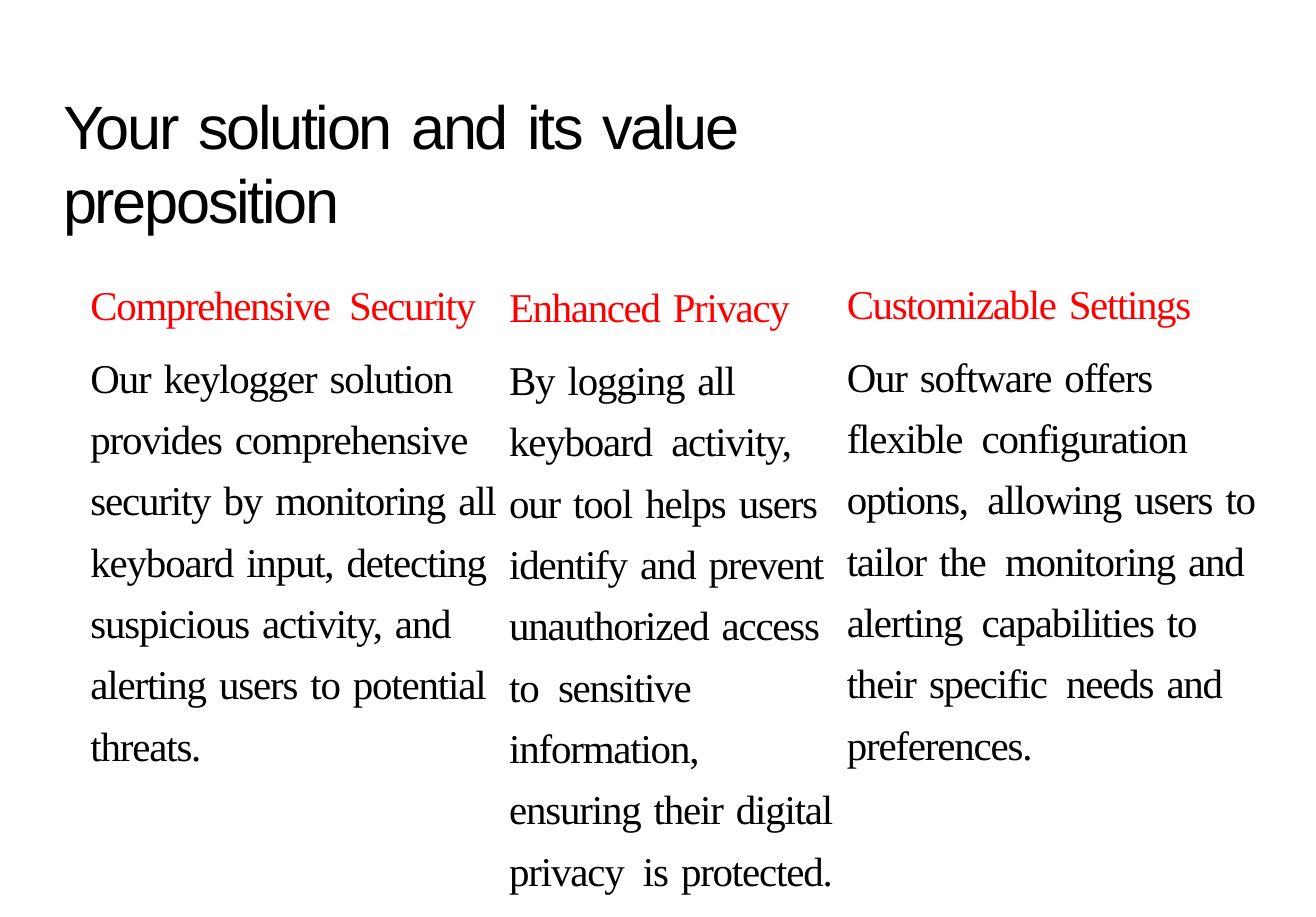
from dataclasses import dataclass

from pptx import Presentation
from pptx.dml.color import RGBColor
from pptx.enum import shapes, text
from pptx.util import Inches, Pt

TITLE = "Your solution and its value preposition"
TITLE_BOX = (0.6, 1.04, 8.83, 1)

COLUMNS = [
    {
        "card": None,
        "box": (0.86, 2.66, 4.25, 6.14),
        "heading": ["Comprehensive", "Security"],
        "body": ["Our keylogger solution provides comprehensive security by "
                 "monitoring all keyboard input, detecting suspicious activity, "
                 "and alerting users to potential threats."],
    },
    {
        "card": (4.84, 2.49, 2.84, 3.04),
        "box": (4.84, 2.68, 3.14, 5.77),
        "heading": ["Enhanced Privacy"],
        "body": ["By logging all keyboard",
                 "activity, our tool helps users identify and prevent "
                 "unauthorized access to",
                 "sensitive information,",
                 "ensuring their digital privacy",
                 "is protected."],
    },
    {
        "card": (7.87, 2.49, 2.84, 3.04),
        "box": (8.05, 2.65, 3.96, 5.77),
        "heading": ["Customizable Settings"],
        "body": ["Our software offers flexible",
                 "configuration options,",
                 "allowing users to tailor the",
                 "monitoring and alerting",
                 "capabilities to their specific",
                 "needs and preferences."],
    },
]


@dataclass(frozen=True)
class Style:
    font: str
    size: float
    color: RGBColor
    tracking: float
    space: float
    gap: float = 5.5


@dataclass(frozen=True)
class Theme:
    title: Style = Style("Arial", 41.9, RGBColor(0, 0, 0), -1.6, 1)
    heading: Style = Style("Times New Roman", 28, RGBColor(255, 0, 0), -0.9, 1.2)
    body: Style = Style("Times New Roman", 28, RGBColor(0, 0, 0), -0.8, 1.2)
    card: RGBColor = RGBColor(255, 255, 255)
    card_corner: float = 0.03


THEME = Theme()


def add_run(p, words, style, tracking):
    r = p.add_run()
    r.text = words
    r.font.name = style.font
    r.font.size = Pt(style.size)
    r.font.color.rgb = style.color
    r._r.get_or_add_rPr().set("spc", str(round(tracking * 100)))


def add_phrases(p, phrases, style):
    for i, phrase in enumerate(phrases):
        for j, word in enumerate(phrase.split()):
            if i or j:
                add_run(p, " ", style, style.space if j else style.gap)
            add_run(p, word, style, style.tracking)


def set_frame(tf, anchor):
    tf.word_wrap = True
    tf.auto_size = text.MSO_AUTO_SIZE.NONE
    tf.vertical_anchor = anchor
    tf.margin_left = tf.margin_right = tf.margin_top = tf.margin_bottom = 0


def add_title(s):
    sp = s.shapes.title
    sp.left, sp.top, sp.width, sp.height = map(Inches, TITLE_BOX)
    set_frame(sp.text_frame, text.MSO_ANCHOR.MIDDLE)
    p = sp.text_frame.paragraphs[0]
    p.alignment = text.PP_ALIGN.LEFT
    add_phrases(p, [TITLE], THEME.title)


def add_card(s, box):
    sp = s.shapes.add_shape(shapes.MSO_SHAPE.ROUNDED_RECTANGLE,
                            *map(Inches, box))
    sp.adjustments[0] = THEME.card_corner
    sp.shadow.inherit = False
    sp.fill.solid()
    sp.fill.fore_color.rgb = THEME.card
    sp.line.fill.background()


def add_column(s, column):
    if column["card"]:
        add_card(s, column["card"])
    tf = s.shapes.add_textbox(*map(Inches, column["box"])).text_frame
    set_frame(tf, text.MSO_ANCHOR.TOP)
    add_phrases(tf.paragraphs[0], column["heading"], THEME.heading)
    p = tf.add_paragraph()
    p.line_spacing = 1.25
    p.space_before = Pt(7.7)
    add_phrases(p, column["body"], THEME.body)


def main():
    """Build the value proposition slide."""
    prs = Presentation()
    prs.slide_width, prs.slide_height = Inches(12.51), Inches(8.72)
    s = prs.slides.add_slide(prs.slide_layouts[5])
    add_title(s)
    for column in COLUMNS:
        add_column(s, column)
    prs.save("out.pptx")


if __name__ == "__main__":
    main()
